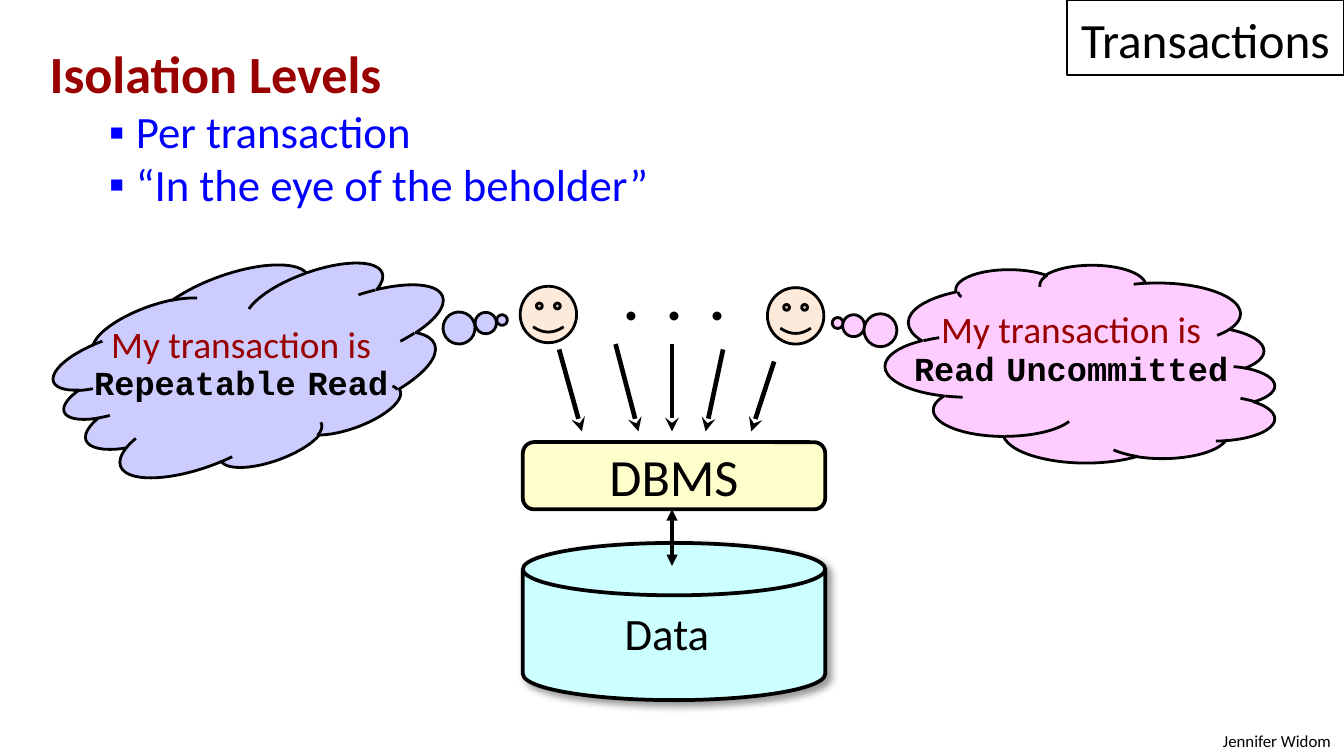
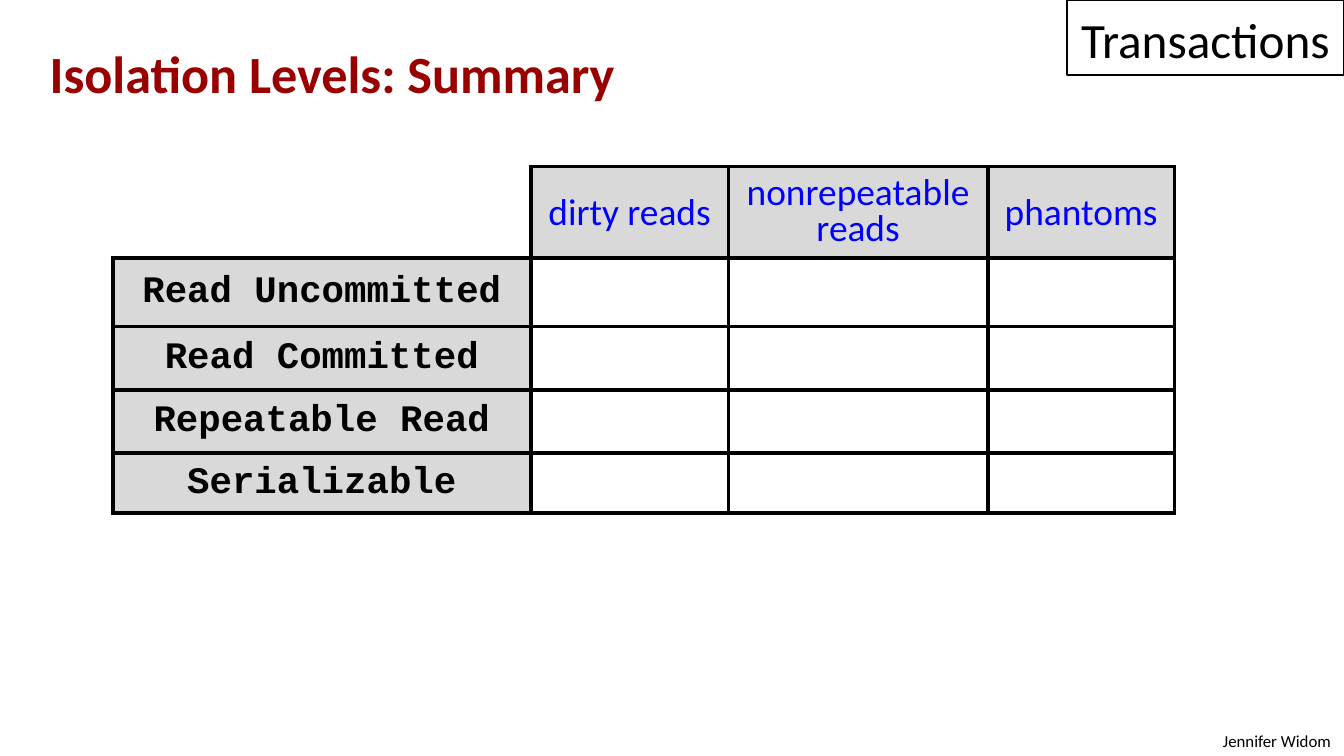
from lxml.etree import SubElement
from pptx import Presentation
from pptx.dml.color import RGBColor
from pptx.enum.shapes import MSO_CONNECTOR, MSO_SHAPE
from pptx.enum.text import MSO_ANCHOR, MSO_AUTO_SIZE, PP_ALIGN
from pptx.oxml.ns import qn
from pptx.util import Inches, Pt

BLACK = RGBColor(0x00, 0x00, 0x00)
DARK_RED = RGBColor(0x99, 0x00, 0x00)
BLUE = RGBColor(0x00, 0x00, 0xFF)
GRAY = RGBColor(0xD9, 0xD9, 0xD9)
CYAN = RGBColor(0xCC, 0xFF, 0xFF)
YELLOW = RGBColor(0xFF, 0xFF, 0xCC)
SKIN = RGBColor(0xFD, 0xEA, 0xDA)
PINK = RGBColor(0xFF, 0xCC, 0xFF)
LAVENDER = RGBColor(0xCC, 0xCC, 0xFF)

BODY_FONT = "Calibri"
CODE_FONT = "Courier New"

TITLE_AND_CONTENT, TITLE_ONLY = 1, 5


def format_runs(paragraph, size, color=BLACK, font=BODY_FONT, bold=False, align=None):
    if align is not None:
        paragraph.alignment = align
    for run in paragraph.runs:
        run.font.size = Pt(size)
        run.font.color.rgb = color
        run.font.name = font
        run.font.bold = bold


def place(shape, left, top, width, height):
    shape.left, shape.top = Inches(left), Inches(top)
    shape.width, shape.height = Inches(width), Inches(height)


def add_shape(slide, kind, box, fill, line_width):
    shape = slide.shapes.add_shape(kind, *map(Inches, box))
    shape.shadow.inherit = False
    if fill is None:
        shape.fill.background()
    else:
        shape.fill.solid()
        shape.fill.fore_color.rgb = fill
    shape.line.color.rgb = BLACK
    shape.line.width = Pt(line_width)
    return shape


def add_label(slide, box, text, size, align=PP_ALIGN.LEFT, bold=False):
    """Text box that fits one unwrapped line."""
    label = slide.shapes.add_textbox(*map(Inches, box))
    frame = label.text_frame
    frame.word_wrap = False
    frame.auto_size = MSO_AUTO_SIZE.SHAPE_TO_FIT_TEXT
    frame.text = text
    format_runs(frame.paragraphs[0], size, bold=bold, align=align)
    return label


def add_arrow(slide, start, end, width, **heads):
    """Line with arrowheads given as headEnd (start) and tailEnd (end)."""
    arrow = slide.shapes.add_connector(
        MSO_CONNECTOR.STRAIGHT, *map(Inches, start + end))
    arrow.line.color.rgb = BLACK
    arrow.line.width = Pt(width)
    properties = arrow._element.spPr
    line = properties.find(qn("a:ln"))
    for tag, head in heads.items():
        SubElement(line, qn(f"a:{tag}"), type=head)
    SubElement(properties, qn("a:effectLst"))


def add_drop_shadow(shape):
    effects = shape._element.spPr.find(qn("a:effectLst"))
    shadow = SubElement(effects, qn("a:outerShdw"), blurRad=str(Pt(4)),
                        dist=str(Pt(3)), dir="2700000", algn="tl", rotWithShape="0")
    color = SubElement(shadow, qn("a:srgbClr"), val=str(BLACK))
    SubElement(color, qn("a:alpha"), val="40000")


def add_slide(presentation, layout, title):
    """Slide with the title, the topic box and the author line."""
    slide = presentation.slides.add_slide(presentation.slide_layouts[layout])
    add_label(slide, (8.92, 5.39, 1.08, 0.25), "Jennifer Widom", 9, PP_ALIGN.RIGHT)

    topic = add_shape(slide, MSO_SHAPE.RECTANGLE, (7.94, 0, 2.06, 0.56), None, 0.75)
    topic.text_frame.text = "Transactions"
    topic.text_frame.vertical_anchor = MSO_ANCHOR.BOTTOM
    format_runs(topic.text_frame.paragraphs[0], 26.4, align=PP_ALIGN.CENTER)

    heading = slide.shapes.title
    place(heading, 0.17, 0.31, 7.7, 0.57)
    frame = heading.text_frame
    frame.text = title
    frame.margin_left = Inches(0.2)
    frame.vertical_anchor = MSO_ANCHOR.TOP
    frame.auto_size = MSO_AUTO_SIZE.NONE
    paragraph = frame.paragraphs[0]
    paragraph.line_spacing = 0.9
    format_runs(paragraph, 28, DARK_RED, bold=True, align=PP_ALIGN.LEFT)
    return slide


def fill_bullets(placeholder, items):
    place(placeholder, 0.17, 0.77, 8.82, 0.9)
    frame = placeholder.text_frame
    frame.text = "\n".join(items)
    frame.auto_size = MSO_AUTO_SIZE.NONE
    for index, paragraph in enumerate(frame.paragraphs):
        paragraph.level = 1
        paragraph.line_spacing = 0.9
        paragraph.space_before = Pt(2 if index else 0)
        format_runs(paragraph, 24, BLUE)
        properties = paragraph._p.get_or_add_pPr()
        properties.set("marL", str(Inches(0.74)))
        properties.set("indent", str(Inches(-0.2)))
        bullet_color = SubElement(properties, qn("a:buClr"))
        SubElement(bullet_color, qn("a:srgbClr"), val=str(BLUE))
        SubElement(properties, qn("a:buChar"), char="▪")


def add_thought(slide, box, rotation, fill):
    cloud = add_shape(slide, MSO_SHAPE.CLOUD_CALLOUT, box, fill, 1.5)
    cloud.rotation = rotation


def add_thought_text(slide, box, first_word, second_word):
    label = add_label(slide, box, "My transaction is", 20)
    frame = label.text_frame
    intro, level = frame.paragraphs[0], frame.add_paragraph()
    format_runs(intro, 20, DARK_RED)
    for text in (first_word, " ", second_word):
        level.add_run().text = text
    format_runs(level, 18, font=CODE_FONT, bold=True)
    level.runs[1].font.size = Pt(10.5)
    for paragraph in (intro, level):
        paragraph.alignment = PP_ALIGN.CENTER
        paragraph.line_spacing = 0.9


def set_borders(cell, hidden=""):
    properties = cell._tc.get_or_add_tcPr()
    for side in "LRTB":
        line = SubElement(properties, qn(f"a:ln{side}"), w=str(Pt(2.25)))
        if side in hidden:
            SubElement(line, qn("a:noFill"))
        else:
            color = SubElement(line, qn("a:solidFill"))
            SubElement(color, qn("a:srgbClr"), val=str(BLACK))


def fill_header_cell(cell, text, **style):
    cell.fill.solid()
    cell.fill.fore_color.rgb = GRAY
    cell.vertical_anchor = MSO_ANCHOR.MIDDLE
    cell.text_frame.text = text
    paragraphs = cell.text_frame.paragraphs
    for paragraph in paragraphs:
        format_runs(paragraph, 20, align=PP_ALIGN.CENTER, **style)
        if len(paragraphs) > 1:
            paragraph.line_spacing = 0.8
    if len(paragraphs) > 1:
        paragraphs[0].space_before = Pt(6)


def add_level_table(slide, anomalies, levels):
    widths = (3.11, 1.47, 1.93, 1.39)
    heights = (0.68, 0.51, 0.47, 0.47, 0.45)
    table = slide.shapes.add_table(
        len(heights), len(widths), Inches(0.84), Inches(1.24),
        Inches(sum(widths)), Inches(sum(heights))).table
    table.first_row = table.horz_banding = False
    for column, width in zip(table.columns, widths):
        column.width = Inches(width)
    for row, height in zip(table.rows, heights):
        row.height = Inches(height)
    for row in range(len(heights)):
        for column in range(len(widths)):
            cell = table.cell(row, column)
            set_borders(cell, hidden="" if row or column else "LT")
            if row == 0 and column:
                fill_header_cell(cell, anomalies[column - 1], color=BLUE)
            elif row and column == 0:
                fill_header_cell(cell, levels[row - 1], font=CODE_FONT, bold=True)
            else:
                cell.fill.background()


def build_isolation_levels(presentation):
    slide = add_slide(presentation, TITLE_AND_CONTENT, "Isolation Levels")
    fill_bullets(slide.placeholders[1],
                 ("Per transaction", "“In the eye of the beholder”"))

    disk = add_shape(slide, MSO_SHAPE.FLOWCHART_MAGNETIC_DISK,
                     (3.89, 4.04, 2.25, 1.17), CYAN, 2)
    add_drop_shadow(disk)
    dbms = add_shape(slide, MSO_SHAPE.ROUNDED_RECTANGLE,
                     (3.89, 3.29, 2.25, 0.5), YELLOW, 2)
    dbms.text_frame.text = "DBMS"
    dbms.text_frame.vertical_anchor = MSO_ANCHOR.MIDDLE
    format_runs(dbms.text_frame.paragraphs[0], 28, align=PP_ALIGN.CENTER)

    add_arrow(slide, (5, 3.79), (5, 4.21), 2, headEnd="triangle", tailEnd="triangle")
    for start_x, start_y, end_x in ((4.16, 2.6, 4.33), (4.58, 2.56, 4.75),
                                    (5, 2.56, 5), (5.38, 2.6, 5.25),
                                    (5.76, 2.69, 5.59)):
        add_arrow(slide, (start_x, start_y), (end_x, 3.21), 2.5, tailEnd="stealth")
    for left, top in ((3.87, 2.13), (5.71, 2.14)):
        add_shape(slide, MSO_SHAPE.SMILEY_FACE, (left, top, 0.42, 0.42), SKIN, 1.5)
    add_label(slide, (4.55, 4.46, 0.84, 0.5), "Data", 24)
    add_label(slide, (4.54, 1.89, 0.97, 0.64), ".  .  .", 32, bold=True)

    add_thought(slide, (7.31, 1.26, 1.47, 2.9), 90, PINK)
    add_thought(slide, (1.19, 1.25, 1.43, 2.94), 250.3, LAVENDER)
    add_thought_text(slide, (0.58, 2.38, 2.43, 0.68), "Repeatable", "Read")
    add_thought_text(slide, (6.68, 2.27, 2.58, 0.68), "Read", "Uncommitted")


def build_summary(presentation):
    slide = add_slide(presentation, TITLE_ONLY, "Isolation Levels: Summary")
    add_level_table(
        slide,
        ("dirty reads", "nonrepeatable\nreads", "phantoms"),
        ("Read Uncommitted", "Read Committed", "Repeatable Read", "Serializable"))


def main():
    presentation = Presentation()
    presentation.slide_width = Inches(10)
    presentation.slide_height = Inches(10) * 9 // 16
    build_isolation_levels(presentation)
    build_summary(presentation)
    presentation.save("out.pptx")


if __name__ == "__main__":
    main()
